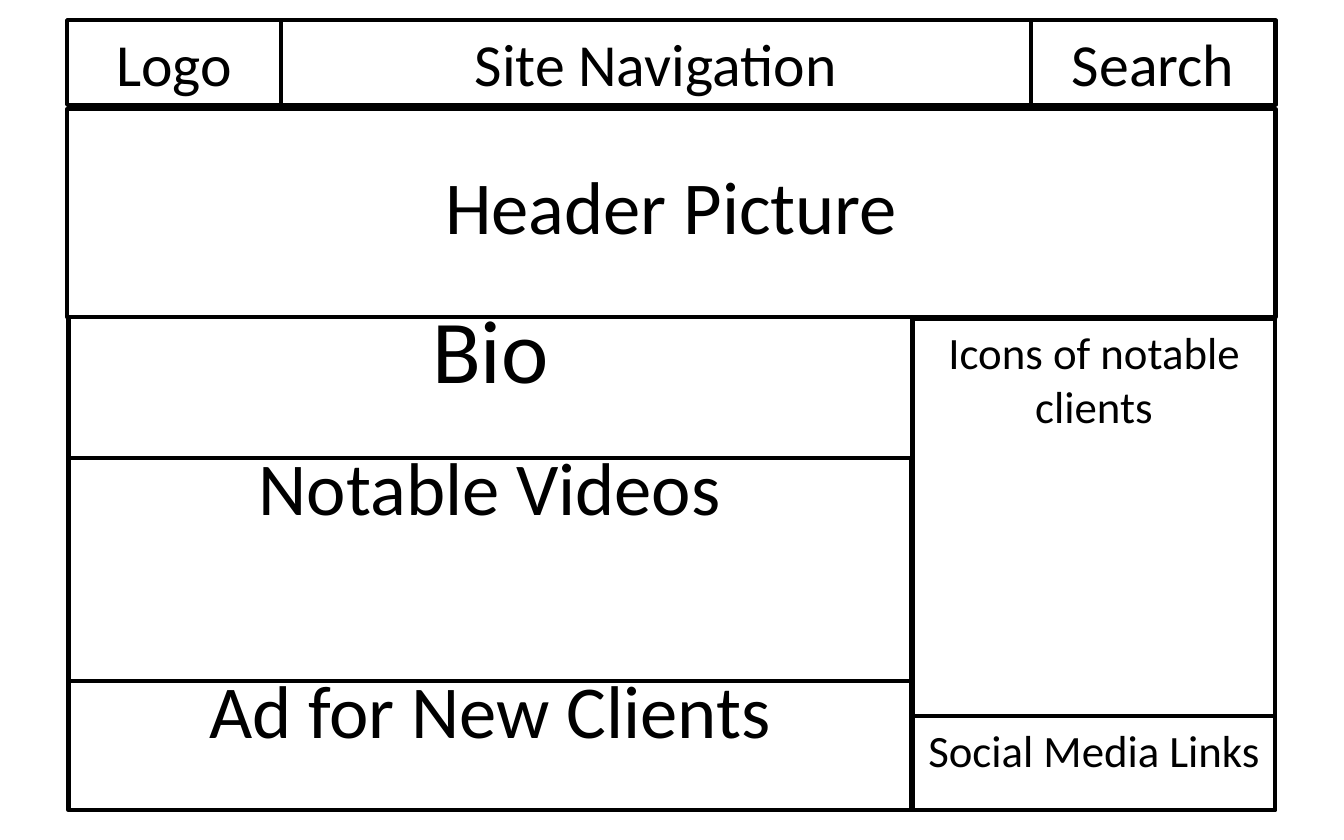
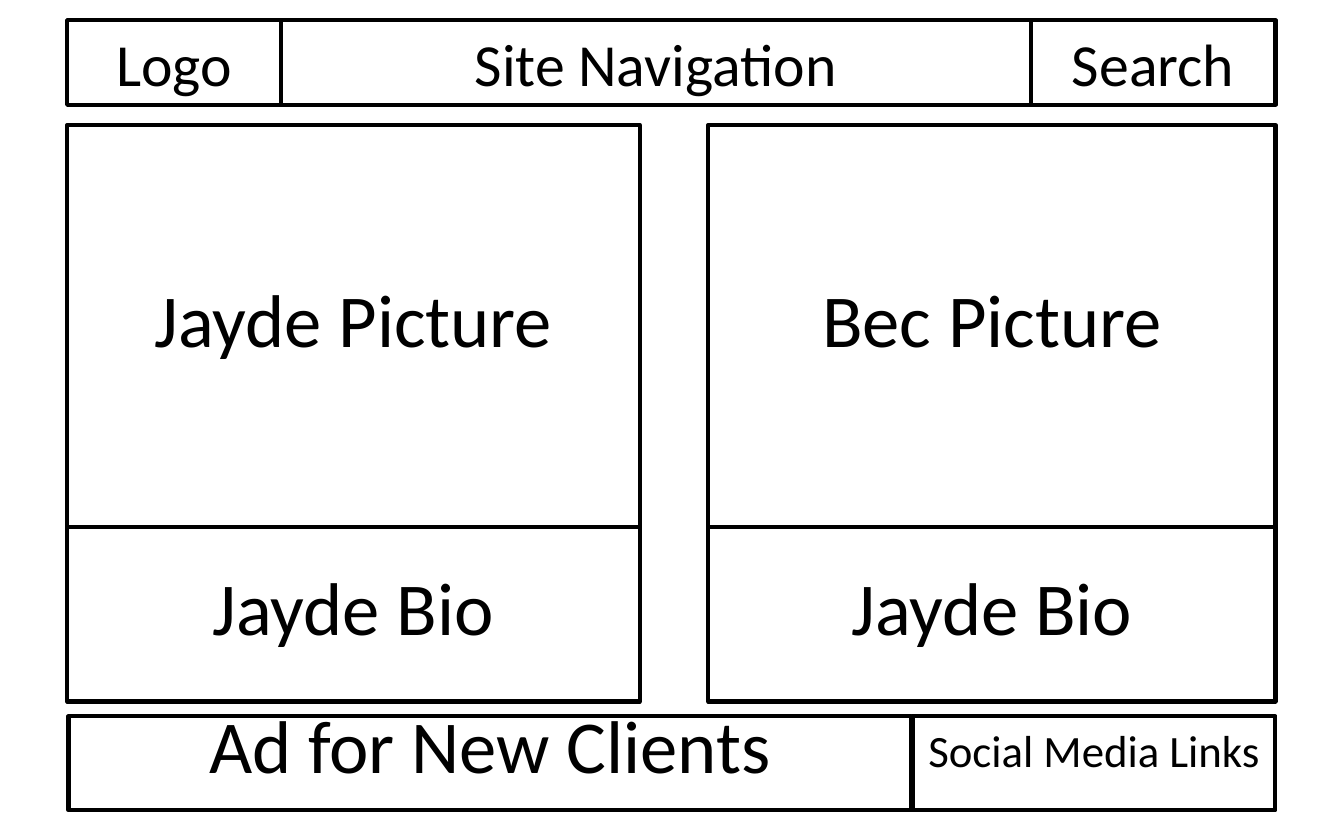
"""Build two website wireframe slides: a home page and a biography page."""
from pptx import Presentation
from pptx.dml.color import RGBColor
from pptx.enum.shapes import MSO_SHAPE
from pptx.enum.text import MSO_ANCHOR, MSO_AUTO_SIZE, PP_ALIGN
from pptx.util import Inches, Pt

BLACK = RGBColor(0x00, 0x00, 0x00)
FONT = "Calibri"
TOP, MIDDLE = MSO_ANCHOR.TOP, MSO_ANCHOR.MIDDLE

LEFT, RIGHT = 0.5, 9.49
INNER_LEFT = 0.51
LOGO_RIGHT, SEARCH_LEFT = 2.09, 7.67
MAIN_RIGHT, SIDE_LEFT = 6.78, 6.79
BAR_TOP, BAR_BOTTOM = 0.15, 0.78
HEADER_TOP, HEADER_BOTTOM = 0.81, 2.36
VIDEOS_TOP, AD_TOP = 3.41, 5.07
FOOTER_TOP, FOOTER_BOTTOM = 5.33, 6.03
PICTURE_TOP, BIO_TOP, BIO_BOTTOM = 0.93, 3.92, 5.22
JAYDE_RIGHT, BEC_LEFT = 4.76, 5.27

SEARCH = ("Search", SEARCH_LEFT, BAR_TOP, RIGHT, BAR_BOTTOM, 32, TOP, 1)
SOCIAL = ("Social Media Links", SIDE_LEFT, FOOTER_TOP, RIGHT, FOOTER_BOTTOM, 24, TOP, 1)

HOME_PAGE = [
    ("Header Picture", LEFT, HEADER_TOP, RIGHT, HEADER_BOTTOM, 40, MIDDLE, 0.8),
    ("Bio", INNER_LEFT, HEADER_BOTTOM, SIDE_LEFT, VIDEOS_TOP, 48, TOP, 0.7),
    ("Notable Videos", INNER_LEFT, VIDEOS_TOP, MAIN_RIGHT, AD_TOP, 40, TOP, 0.7),
    ("Ad for New Clients", INNER_LEFT, AD_TOP, MAIN_RIGHT, FOOTER_BOTTOM, 40, TOP, 0.7),
    ("Icons of notable clients", SIDE_LEFT, 2.37, RIGHT, FOOTER_TOP, 24, TOP, 1),
    SEARCH,
    SOCIAL,
]
BIOGRAPHY_PAGE = [
    ("Jayde Picture", LEFT, PICTURE_TOP, JAYDE_RIGHT, BIO_TOP, 40, MIDDLE, 0.8),
    ("Ad for New Clients", INNER_LEFT, FOOTER_TOP, MAIN_RIGHT, FOOTER_BOTTOM, 40, TOP, 0.7),
    SEARCH,
    ("Bec Picture", BEC_LEFT, PICTURE_TOP, RIGHT, BIO_TOP, 40, MIDDLE, 0.8),
    SOCIAL,
    ("Jayde Bio", LEFT, BIO_TOP, JAYDE_RIGHT, BIO_BOTTOM, 40, MIDDLE, 0.8),
    ("Jayde Bio", BEC_LEFT, BIO_TOP, RIGHT, BIO_BOTTOM, 40, MIDDLE, 0.8),
]


def format_box(shape, text, left, top, right, bottom, size, anchor, line_spacing):
    """Place a shape between grid edges, outline it and write its label."""
    shape.left, shape.top = Inches(left), Inches(top)
    shape.width, shape.height = Inches(right - left), Inches(bottom - top)
    shape.fill.background()
    shape.line.color.rgb = BLACK
    shape.line.width = Pt(2.25)
    frame = shape.text_frame
    frame.word_wrap = True
    frame.auto_size = MSO_AUTO_SIZE.NONE
    frame.vertical_anchor = anchor
    paragraph = frame.paragraphs[0]
    paragraph.alignment = PP_ALIGN.CENTER
    paragraph.line_spacing = line_spacing
    run = paragraph.add_run()
    run.text = text
    run.font.name = FONT
    run.font.size = Pt(size)
    run.font.color.rgb = BLACK


presentation = Presentation()
presentation.slide_width = Inches(10)
presentation.slide_height = Inches(6.25)

for boxes in (HOME_PAGE, BIOGRAPHY_PAGE):
    slide = presentation.slides.add_slide(presentation.slide_layouts[0])
    format_box(slide.shapes.title, "Logo",
               LEFT, BAR_TOP, LOGO_RIGHT, BAR_BOTTOM, 32, MIDDLE, 1)
    format_box(slide.placeholders[1], "Site Navigation",
               LOGO_RIGHT, BAR_TOP, SEARCH_LEFT, BAR_BOTTOM, 32, TOP, 1)
    for box in boxes:
        shape = slide.shapes.add_shape(MSO_SHAPE.RECTANGLE, 0, 0, 0, 0)
        shape.shadow.inherit = False
        format_box(shape, *box)

presentation.save("out.pptx")
